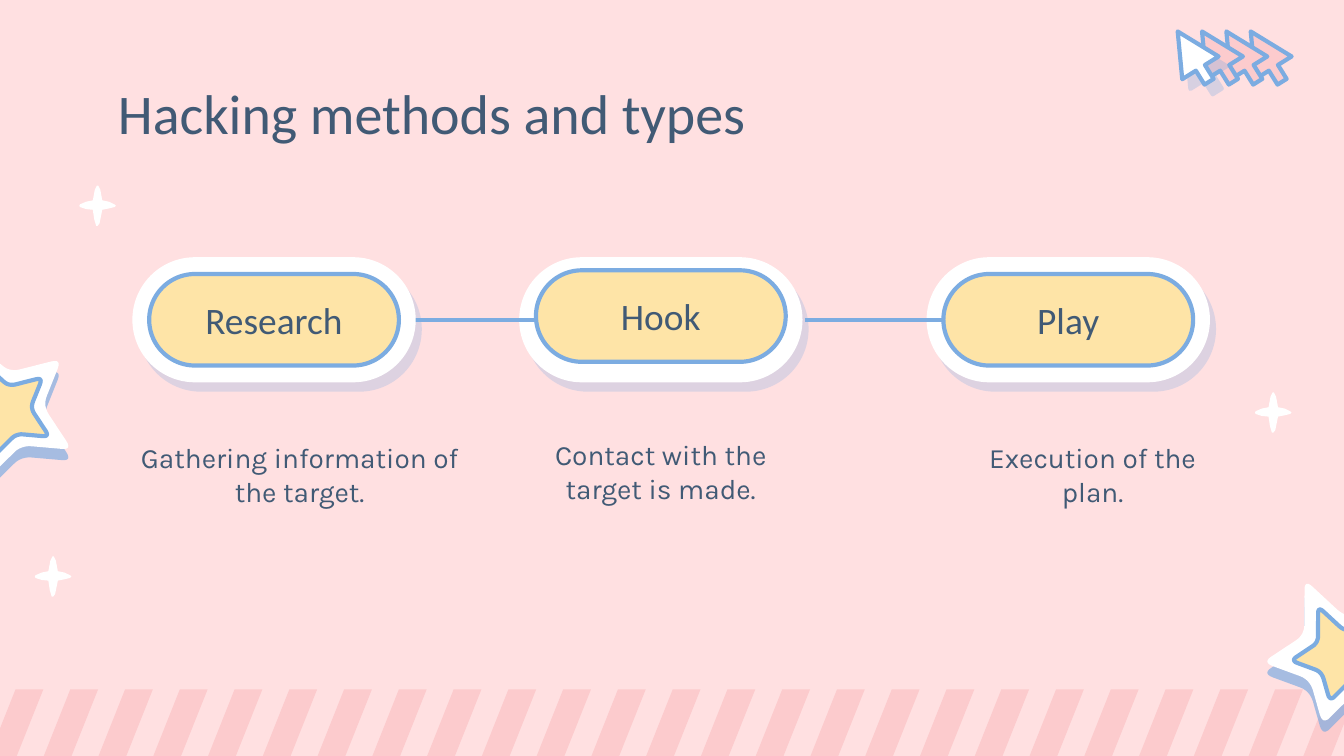
import pptx
import pptx.dml.color
import pptx.enum.shapes
import pptx.enum.text
import pptx.oxml.ns
import pptx.util
from lxml import etree
from pptx.util import Cm

SHAPE = pptx.enum.shapes.MSO_SHAPE
ALIGN = pptx.enum.text.PP_ALIGN
ANCHOR = pptx.enum.text.MSO_ANCHOR

PINK, ROSE, WHITE = "FFE0E1", "FCCBCD", "FFFFFF"
BLUE, YELLOW, CREAM, INK = "7CACE1", "FEE4A7", "FFFDD1", "415A75"

# All lengths are in centimetres.
TITLE = "Hacking methods and types"
# label, pill left, face top, caption, caption left, caption top, caption width
STEPS = [
    ("Research", 2.82, 5.18, "Gathering information of the target.", 2.26, 8.08, 6.81),
    ("Hook", 10.13, 5.11, "Contact with the target is made.", 10.13, 8.03, 4.72),
    ("Play", 17.83, 5.18, "Execution of the plan.", 18.29, 8.08, 4.72),
]
PILL_TOP, PILL_WIDTH, PILL_HEIGHT = 5.18, 4.72, 1.73
LINK_Y, LINKS = 6.05, [(6.2, 10.54), (15.21, 19.56)]

STRIPES, STRIPE_FIRST, STRIPE_SPAN = 25, -0.25, 24.84
CURSORS, CURSOR_FIRST, CURSOR_PITCH = 4, 22.15, 0.46

STARS = [(-1.17, 6.55), (24.08, 11.18)]
STAR_WIDTH, STAR_HEIGHT, STAR_TURN, STAR_INNER = 2.62, 2.49, 21.8, 0.65
STAR_CORNERS = [(75, 0), (43, 24), (5, 9), (20, 48), (-1, 79),
                (36, 78), (57, 106), (71, 72), (107, 61), (75, 38)]
SPARKLES = [(0.66, 10.52), (1.5, 3.51), (23.72, 7.42)]
SPARKLE_WIDTH, SPARKLE_HEIGHT = 0.69, 0.76
SPARKLE_OUTLINE = [(13, 0), (11.5, 3), (10, 11), (5, 12), (0.5, 14), (0, 15),
                   (0.5, 16), (5, 17.5), (10, 18), (11, 25), (12.5, 30),
                   (13.5, 30), (15, 28), (17, 18), (22, 17), (26, 16),
                   (27, 15), (26, 14), (22, 12), (17, 11), (15.5, 3), (14, 0)]


def color(code):
    return pptx.dml.color.RGBColor.from_string(code)


def add_element(parent, tag, **attributes):
    return etree.SubElement(parent, pptx.oxml.ns.qn(tag), **attributes)


def set_line(line, code, width):
    line.color.rgb = color(code)
    line.width = pptx.util.Pt(width)


def style(shape, fill, line=None, shadow=None):
    """Line is (colour, points); shadow is (opacity %, distance pt, degrees)."""
    shape.fill.solid()
    shape.fill.fore_color.rgb = color(fill)
    if line:
        set_line(shape.line, *line)
        add_element(shape.line._get_or_add_ln(), "a:round")
    else:
        shape.line.fill.background()
    shape.shadow.inherit = False
    if shadow:
        opacity, distance, angle = shadow
        effects = shape._element.spPr.find(pptx.oxml.ns.qn("a:effectLst"))
        outer = add_element(effects, "a:outerShdw", blurRad="0",
                            dist=str(int(pptx.util.Pt(distance))),
                            dir=str(angle * 60000), algn="bl", rotWithShape="0")
        tint = add_element(outer, "a:srgbClr", val=BLUE)
        add_element(tint, "a:alpha", val=str(opacity * 1000))


def add_preset(slide, kind, left, top, width, height, adjustments):
    shape = slide.shapes.add_shape(kind, Cm(left), Cm(top), Cm(width), Cm(height))
    for index, value in enumerate(adjustments):
        shape.adjustments[index] = value
    return shape


def add_outline(slide, points, left, top, width, height):
    """Closed outline stretched to fill the given box."""
    builder = slide.shapes.build_freeform(*points[0], scale=Cm(0.02))
    builder.add_line_segments(points[1:], close=True)
    shape = builder.convert_to_shape()
    shape.left, shape.top = Cm(left), Cm(top)
    shape.width, shape.height = Cm(width), Cm(height)
    return shape


def rounded(corners, cut=8, steps=6):
    """Replace every corner by a short quadratic curve."""
    points = []
    for index, (x, y) in enumerate(corners):
        ends = []
        for near_x, near_y in (corners[index - 1], corners[(index + 1) % len(corners)]):
            share = cut / ((near_x - x) ** 2 + (near_y - y) ** 2) ** 0.5
            ends.append((x + share * (near_x - x), y + share * (near_y - y)))
        for step in range(steps + 1):
            t = step / steps
            points.append(tuple(
                (1 - t) ** 2 * start + 2 * t * (1 - t) * corner + t ** 2 * end
                for start, corner, end in zip(ends[0], (x, y), ends[1])))
    return [(x * 10, y * 10) for x, y in points]


def set_text(shape, text, size, font, align, anchor):
    frame = shape.text_frame
    frame.text = text
    frame.word_wrap = True
    frame.auto_size = pptx.enum.text.MSO_AUTO_SIZE.NONE
    frame.vertical_anchor = anchor
    frame.margin_left = frame.margin_right = Cm(0.25)
    frame.margin_top = frame.margin_bottom = Cm(0.25)
    paragraph = frame.paragraphs[0]
    paragraph.alignment = align
    run_font = paragraph.runs[0].font
    run_font.size, run_font.name = pptx.util.Pt(size), font
    run_font.color.rgb = color(INK)


def add_decoration(slide):
    for index in range(STRIPES):
        left = STRIPE_FIRST + STRIPE_SPAN * index / (STRIPES - 1)
        style(add_preset(slide, SHAPE.PARALLELOGRAM, left, 13.03, 1.07, 1.37, [0.51]), ROSE)

    star_outline = rounded(STAR_CORNERS)
    for left, top in STARS:
        for scale, fill, line, shadow in ((1, WHITE, None, (67, 6, 90)),
                                          (STAR_INNER, YELLOW, (BLUE, 2.25), None)):
            star = add_outline(slide, star_outline,
                               left + STAR_WIDTH * (1 - scale) / 2,
                               top + STAR_HEIGHT * (1 - scale) / 2,
                               STAR_WIDTH * scale, STAR_HEIGHT * scale)
            star.rotation = STAR_TURN
            style(star, fill, line, shadow)

    for left, top in SPARKLES:
        style(add_outline(slide, [(x * 10, y * 10) for x, y in SPARKLE_OUTLINE],
                          left, top, SPARKLE_WIDTH, SPARKLE_HEIGHT), WHITE)

    for index in reversed(range(CURSORS)):
        cursor = add_preset(slide, SHAPE.UP_ARROW, CURSOR_FIRST + CURSOR_PITCH * index,
                            0.51, 0.81, 1.12, [0.25, 1])
        cursor.rotation = 328
        front = index == 0
        style(cursor, WHITE if front else ROSE, (BLUE, 2.25), (30, 6.8, 50) if front else None)


def add_pill(slide, left, top):
    return add_preset(slide, SHAPE.ROUNDED_RECTANGLE, left, top, PILL_WIDTH, PILL_HEIGHT, [0.5])


def add_steps(slide):
    for label, left, face_top, caption, *box in STEPS:
        style(add_pill(slide, left, PILL_TOP), CREAM, (WHITE, 18), (26, 6, 57))
        caption_left, caption_top, caption_width = box
        text_box = slide.shapes.add_textbox(Cm(caption_left), Cm(caption_top),
                                            Cm(caption_width), Cm(2.44))
        set_text(text_box, caption, 15, "Karla", ALIGN.CENTER, ANCHOR.TOP)

    for start, end in LINKS:
        link = slide.shapes.add_connector(pptx.enum.shapes.MSO_CONNECTOR.STRAIGHT,
                                          Cm(start), Cm(LINK_Y), Cm(end), Cm(LINK_Y))
        set_line(link.line, BLUE, 2.25)
        add_element(link._element.spPr, "a:effectLst")
        if start < STEPS[0][1] + PILL_WIDTH:
            # The first pill's white rim covers the start of its link.
            backing = slide.shapes[-1]._element.getparent()
            first = next(shape for shape in slide.shapes
                         if shape.left == Cm(STEPS[0][1]) and shape.top == Cm(PILL_TOP))
            backing.append(first._element)

    for label, left, face_top, *_ in STEPS:
        face = add_pill(slide, left, face_top)
        style(face, YELLOW, (BLUE, 2.25))
        set_text(face, label, 20, "Calibri", ALIGN.CENTER, ANCHOR.MIDDLE)


def main():
    presentation = pptx.Presentation()
    presentation.slide_width, presentation.slide_height = Cm(25.4), Cm(14.29)
    slide = presentation.slides.add_slide(presentation.slide_layouts[5])
    slide.background.fill.solid()
    slide.background.fill.fore_color.rgb = color(PINK)

    title = slide.shapes.title
    title.left, title.top, title.width, title.height = Cm(1.98), Cm(1.24), Cm(21.44), Cm(1.6)
    set_text(title, TITLE, 30, "Calibri", ALIGN.LEFT, ANCHOR.TOP)

    add_decoration(slide)
    add_steps(slide)
    presentation.save("out.pptx")


if __name__ == "__main__":
    main()
